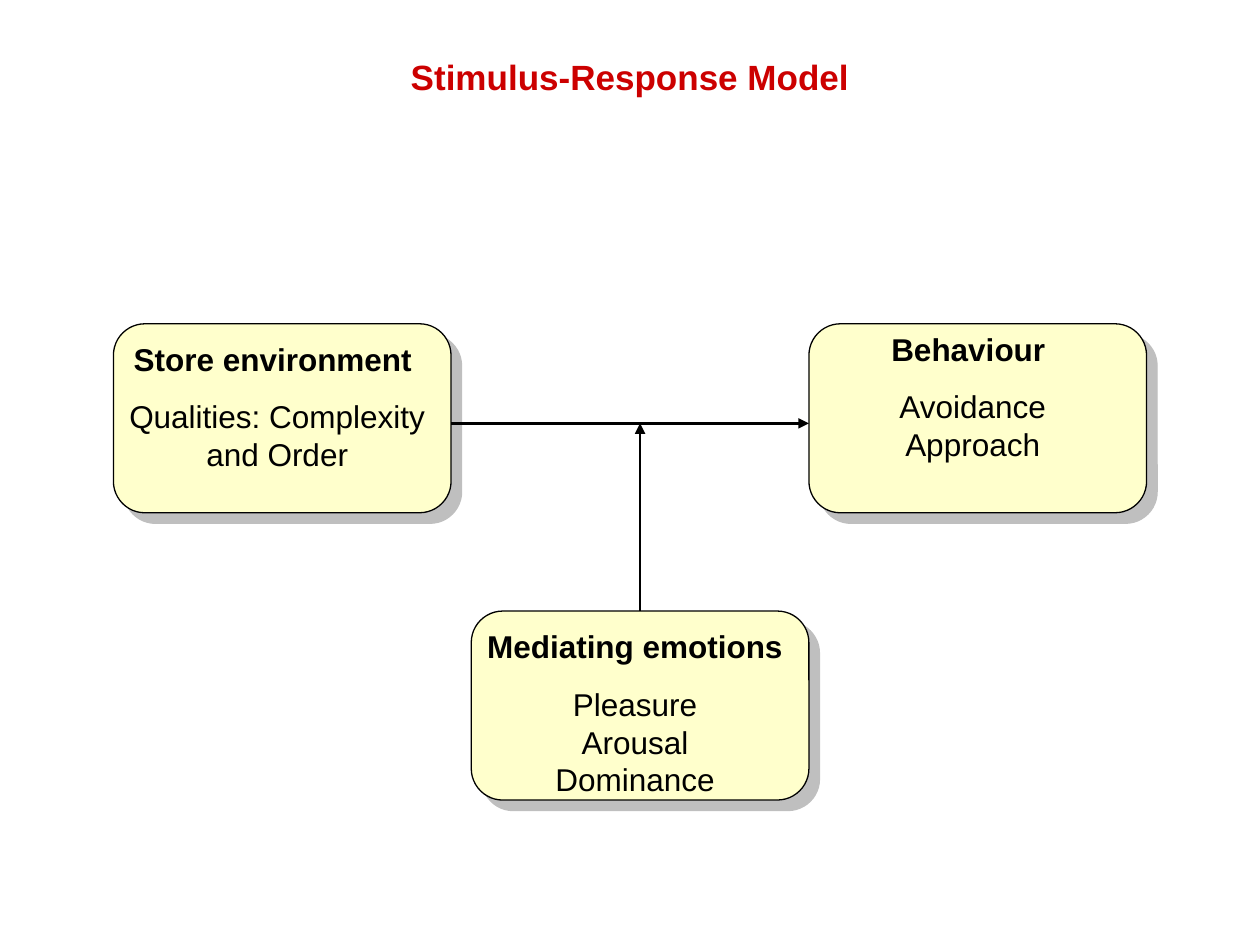
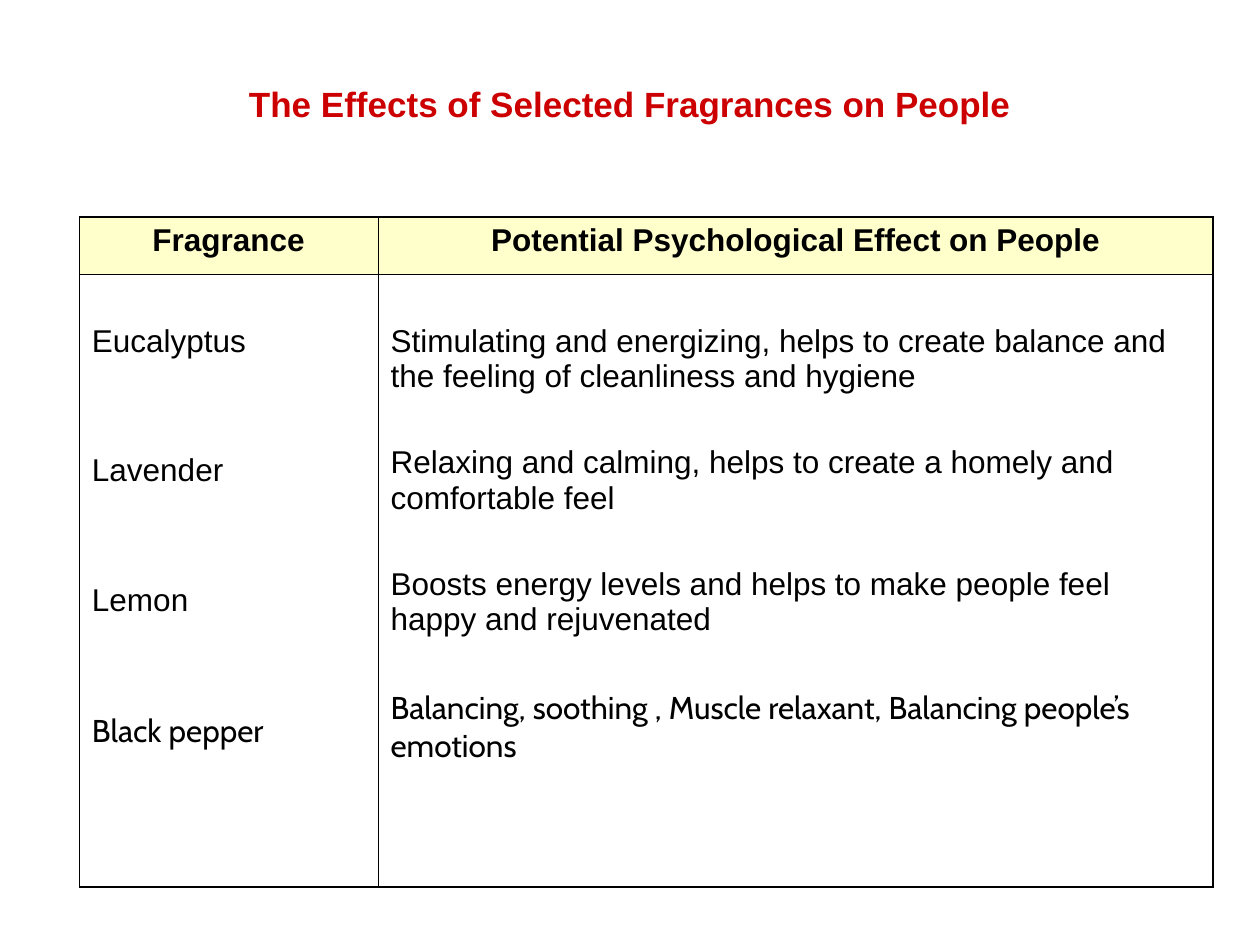
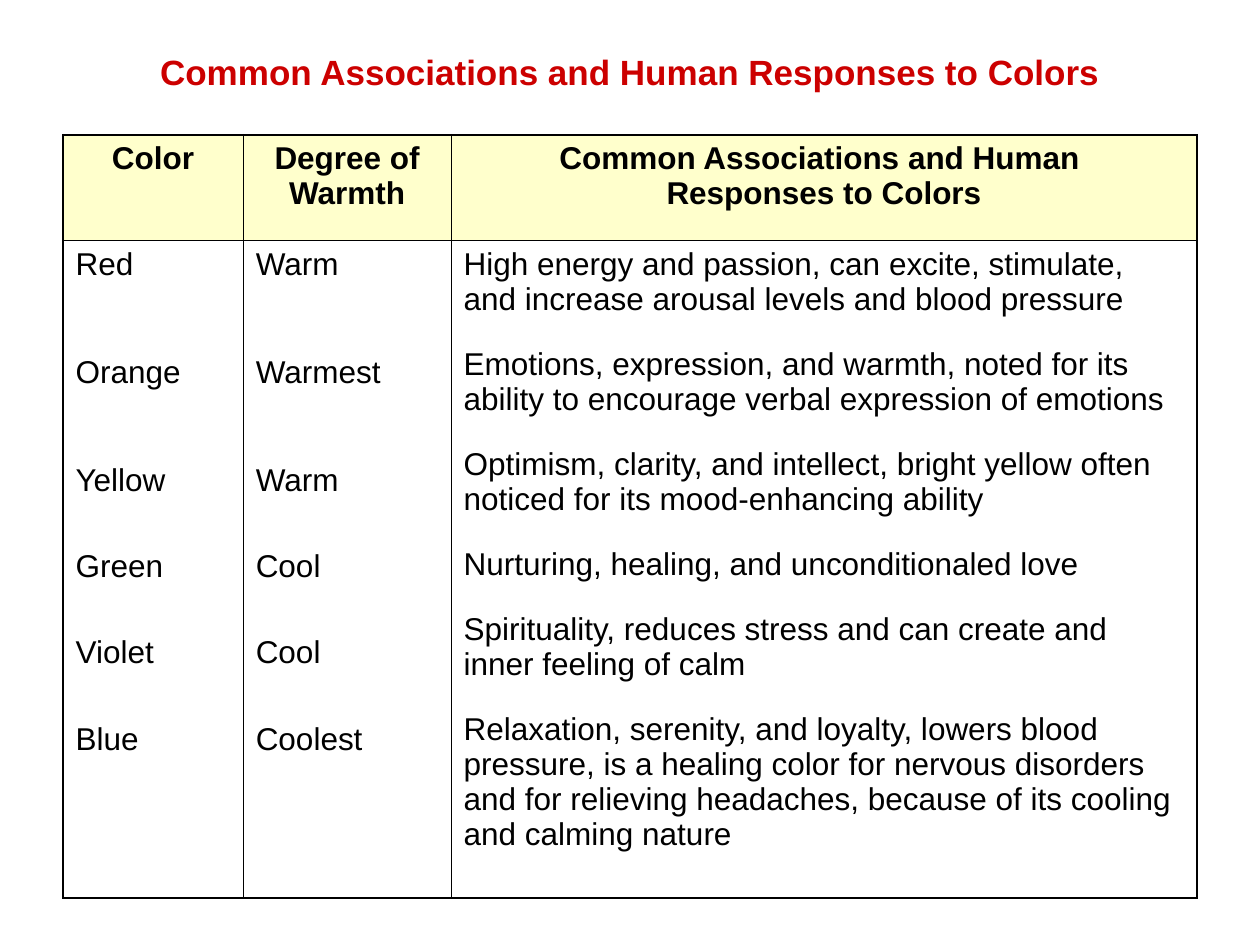
from lxml import etree
from pptx import Presentation
from pptx.dml.color import RGBColor
from pptx.enum import shapes, text
from pptx.oxml import ns
from pptx.util import Inches, Pt

RED = RGBColor(0xCC, 0x00, 0x00)
BLACK = RGBColor(0x00, 0x00, 0x00)
CREAM = RGBColor(0xFF, 0xFF, 0xCC)
SHADOW_GREY = RGBColor(0x80, 0x80, 0x80)

BODY_FONT, ACCENT_FONT = "Arial", "Cabin"
BODY_SIZE, TITLE_SIZE = 18, 20
OUTER, INNER = 1.08, 0.45           # table rule widths in points
CENTER = text.PP_ALIGN.CENTER

# Gaps in points between the entries of a table column
NARROW, MEDIUM, WIDE, WIDEST = 16.8, 29.2, 41.4, 53.8

PANEL_W, PANEL_H = 2.68, 1.5
CAPTION_W = 2.6


def add_xml(parent, tag, **attributes):
    return etree.SubElement(parent, ns.qn(tag), attributes)


def write(frame, content, size=BODY_SIZE, font=BODY_FONT, color=BLACK, bold=False,
          align=text.PP_ALIGN.LEFT, before=0, first=True):
    """Write one paragraph; a line feed in the content becomes a line break."""
    paragraph = frame.paragraphs[0] if first else frame.add_paragraph()
    paragraph.text = content
    paragraph.alignment = align
    paragraph.space_before = Pt(before)
    for run in paragraph.runs:
        run.font.size, run.font.name, run.font.bold = Pt(size), font, bold
        run.font.color.rgb = color


def add_frame(slide, left, top, width, height, anchor=text.MSO_ANCHOR.TOP):
    frame = slide.shapes.add_textbox(
        Inches(left), Inches(top), Inches(width), Inches(height)).text_frame
    frame.word_wrap = True
    frame.vertical_anchor = anchor
    return frame


def add_title(slide, title, top, height):
    frame = add_frame(slide, 0.5, top, 9, height, text.MSO_ANCHOR.MIDDLE)
    write(frame, title, size=TITLE_SIZE, color=RED, bold=True, align=CENTER)


# ---- Model diagram ----
def add_panel(slide, left, top):
    panel = slide.shapes.add_shape(shapes.MSO_SHAPE.ROUNDED_RECTANGLE, Inches(left),
                                   Inches(top), Inches(PANEL_W), Inches(PANEL_H))
    panel.fill.solid()
    panel.fill.fore_color.rgb = CREAM
    panel.line.color.rgb = BLACK
    panel.line.width = Pt(0.75)
    # Hard half-transparent shadow to the lower right
    panel.shadow.inherit = False
    effects = panel._element.spPr.find(ns.qn("a:effectLst"))
    shadow = add_xml(effects, "a:outerShdw", blurRad="0", dist=str(Pt(8.5)),
                     dir="2700000", algn="ctr", rotWithShape="0")
    grey = add_xml(shadow, "a:srgbClr", val=str(SHADOW_GREY))
    add_xml(grey, "a:alpha", val="50000")


def add_caption(slide, left, top, heading, details, height):
    frame = add_frame(slide, left, top, CAPTION_W, height)
    shared = dict(align=CENTER, before=11.2)
    write(frame, heading, bold=True, **shared)
    write(frame, details, first=False, **shared)


def add_arrow(slide, start, end):
    arrow = slide.shapes.add_connector(
        shapes.MSO_CONNECTOR.STRAIGHT, *(Inches(v) for v in (*start, *end)))
    arrow.line.color.rgb = BLACK
    arrow.line.width = Pt(1.5)
    add_xml(arrow.line._get_or_add_ln(), "a:tailEnd", type="triangle")
    add_xml(arrow._element.spPr, "a:effectLst")


def build_model(slide):
    add_title(slide, "Stimulus-Response Model", 0.3, 0.61)
    upper, lower, flow_y, mediator_x = 2.57, 4.85, 3.36, 5.08
    store_x, emotions_x, behaviour_x = 0.9, 3.74, 6.42
    for left, top in ((store_x, upper), (behaviour_x, upper), (emotions_x, lower)):
        add_panel(slide, left, top)
    add_arrow(slide, (store_x + PANEL_W, flow_y), (behaviour_x, flow_y))
    add_arrow(slide, (mediator_x, lower), (mediator_x, flow_y))
    add_caption(slide, store_x, upper + 0.08, "Store environment ",
                "Qualities: Complexity and Order", 1.16)
    add_caption(slide, emotions_x, lower + 0.08, "Mediating emotions ",
                " Pleasure \nArousal\nDominance", 1.46)
    add_caption(slide, behaviour_x, upper, "Behaviour ", "Avoidance\nApproach", 1.46)


# ---- Tables ----
def set_borders(cell, **widths):
    properties = cell._tc.get_or_add_tcPr()
    for position, side in enumerate(("L", "R", "T", "B")):
        rule = etree.Element(ns.qn(f"a:ln{side}"), w=str(Pt(widths[side])))
        fill = add_xml(rule, "a:solidFill")
        add_xml(fill, "a:srgbClr", val=str(BLACK))
        properties.insert(position, rule)


def add_listing(slide, left, top, widths, heights, headers, columns, top_inset=0.05):
    """Draw a header row over one tall row; each column lists (text, gap, font)."""
    table = slide.shapes.add_table(
        2, len(widths), Inches(left), Inches(top),
        Inches(sum(widths)), Inches(sum(heights))).table
    table.first_row = table.horz_banding = False
    for row, height in zip(table.rows, heights):
        row.height = Inches(height)
    last = len(widths) - 1
    for i, (width, header, entries) in enumerate(zip(widths, headers, columns)):
        table.columns[i].width = Inches(width)
        head, body = table.cell(0, i), table.cell(1, i)
        head.fill.solid()
        head.fill.fore_color.rgb = CREAM
        body.fill.background()
        sides = dict(L=INNER if i else OUTER, R=OUTER if i == last else INNER)
        set_borders(head, T=OUTER, B=INNER, **sides)
        set_borders(body, T=INNER, B=OUTER, **sides)
        write(head.text_frame, header, bold=True, align=CENTER, before=4.5)
        body.margin_top = Inches(top_inset)
        for n, (entry, gap, font) in enumerate(entries):
            write(body.text_frame, entry, font=font, before=gap, first=n == 0)


def spaced(entries, gaps, fonts=None):
    """Join entries with the gaps between them; the first one has no gap."""
    return list(zip(entries, [0, *gaps], fonts or [BODY_FONT] * len(entries)))


def build_fragrances(slide):
    add_title(slide, "The Effects of Selected Fragrances on People", 0.39, 0.86)
    fragrances = ["Eucalyptus", "Lavender", "Lemon", "Black pepper"]
    effects = [
        "Stimulating and energizing, helps to create balance and the feeling of "
        "cleanliness and hygiene",
        "Relaxing and calming, helps to create a homely and comfortable feel",
        "Boosts energy levels and helps to make people feel happy and rejuvenated",
        "Balancing, soothing , Muscle relaxant, Balancing people’s emotions",
    ]
    fonts = [BODY_FONT] * 3 + [ACCENT_FONT]
    add_listing(slide, 0.63, 1.72, (2.37, 6.63), (0.46, 4.86),
                ("Fragrance", "Potential Psychological Effect on People"),
                (spaced(fragrances, [WIDEST] * 3, fonts),
                 spaced(effects, [MEDIUM] * 3, fonts)),
                top_inset=0.39)


def build_colors(slide):
    add_title(slide, "Common Associations and Human Responses to Colors", 0.3, 0.54)
    colors = ["Red", "Orange", "Yellow", "Green", "Violet", "Blue"]
    warmth = ["Warm", "Warmest", "Warm", "Cool", "Cool", "Coolest"]
    responses = [
        "High energy and passion, can excite, stimulate, and increase arousal "
        "levels and blood pressure",
        "Emotions, expression, and warmth, noted for its ability to encourage "
        "verbal expression of emotions",
        "Optimism, clarity, and intellect, bright yellow often noticed for its "
        "mood-enhancing ability",
        "Nurturing, healing, and unconditionaled love",
        "Spirituality, reduces stress and can create and inner feeling of calm",
        "Relaxation, serenity, and loyalty, lowers blood pressure, is a healing "
        "color for nervous disorders and for relieving headaches, because of its "
        "cooling and calming nature",
    ]
    gaps = [WIDE] * 2 + [MEDIUM] * 3
    add_listing(slide, 0.5, 1.07, (1.43, 1.65, 5.92), (0.84, 5.22),
                ("Color", "Degree of Warmth",
                 "Common Associations and Human \nResponses to Colors"),
                (spaced(colors, gaps), spaced(warmth, gaps),
                 spaced(responses, [NARROW] * 5)))


def main():
    deck = Presentation()
    deck.slide_width, deck.slide_height = Inches(10), Inches(7.5)
    blank = deck.slide_layouts[6]
    for build in (build_model, build_fragrances, build_colors):
        build(deck.slides.add_slide(blank))
    deck.save("out.pptx")


if __name__ == "__main__":
    main()
